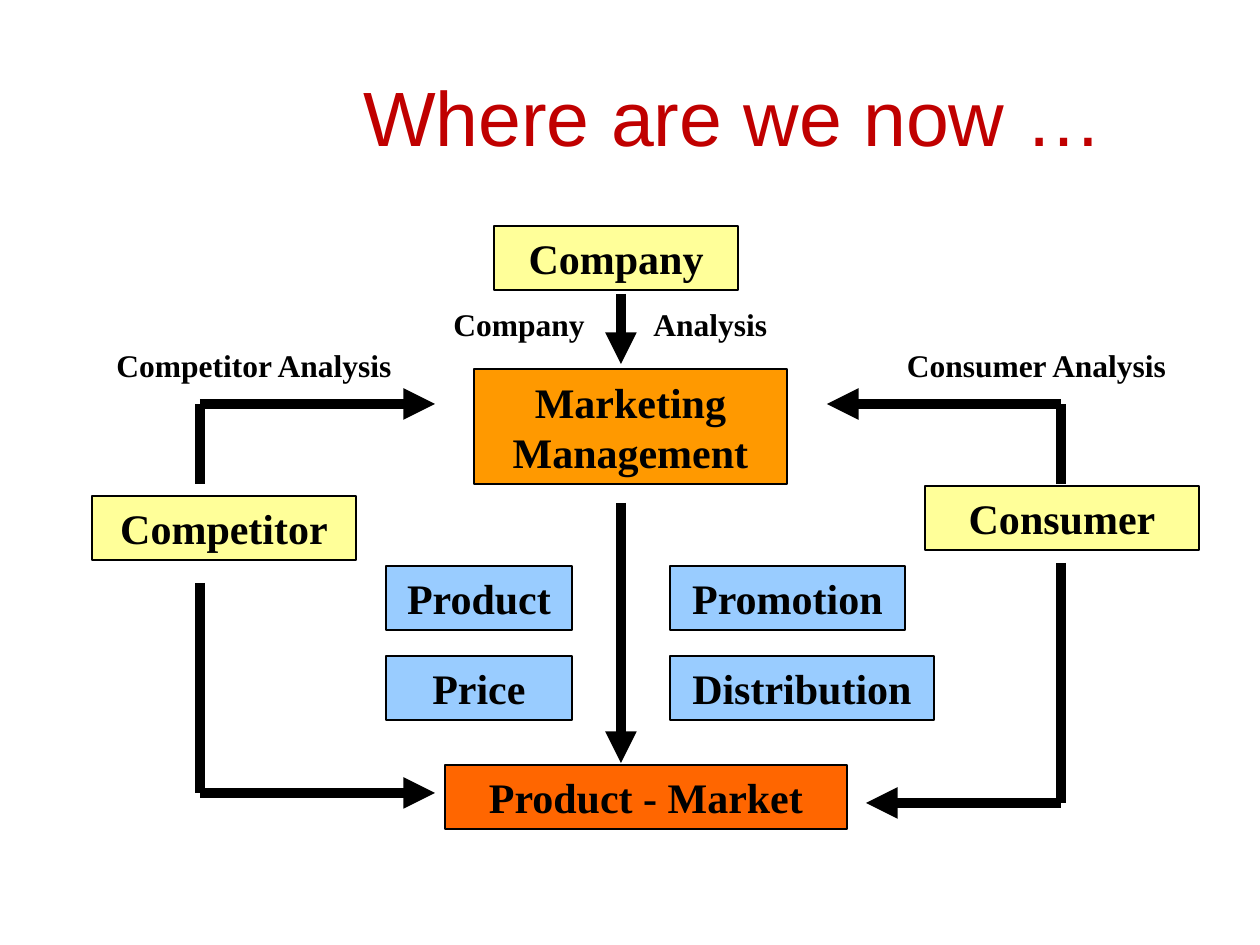
from pptx import Presentation
from pptx.dml.color import RGBColor
from pptx.enum.shapes import MSO_CONNECTOR as Connector, MSO_SHAPE as Shape
from pptx.enum.text import MSO_ANCHOR as Anchor, PP_ALIGN as Align
from pptx.oxml.ns import qn
from pptx.util import Emu, Pt
from lxml.etree import SubElement

EMU_PER_PX = 914400 / 126


def px(value):
    """Turn px into EMU."""
    return Emu(round(value * EMU_PER_PX))


def color(hex_string):
    """Turn a hex string into a colour."""
    return RGBColor.from_string(hex_string)


def write(shape, text, size=24, font="Times New Roman", ink="000000", bold=True,
          align=Align.CENTER, tab=None):
    """Write one formatted paragraph into a shape."""
    frame = shape.text_frame
    frame.word_wrap = True
    frame.vertical_anchor = Anchor.MIDDLE
    paragraph = frame.paragraphs[0]
    paragraph.alignment = align
    if tab:
        tabs = SubElement(paragraph._p.get_or_add_pPr(), qn("a:tabLst"))
        SubElement(tabs, qn("a:tab"), pos=str(px(tab)), algn="l")
    run = paragraph.add_run()
    run.text = text
    run.font.size = Pt(size)
    run.font.name = font
    run.font.bold = bold
    run.font.color.rgb = color(ink)


class Diagram:
    """Holds the line style and the slide being drawn."""

    ink = "000000"
    border = 1
    arrow_width = 6

    def __init__(self, slide):
        """Keep the current slide."""
        self.slide = slide

    def label(self, text, left, top, width, height=50, **style):
        """Add a text box."""
        box = self.slide.shapes.add_textbox(px(left), px(top), px(width), px(height))
        write(box, text, **style)

    def box(self, text, fill, left, top, width, height=64):
        """Add a bordered rectangle with centred text."""
        shape = self.slide.shapes.add_shape(
            Shape.RECTANGLE, px(left), px(top), px(width), px(height))
        shape.shadow.inherit = False
        shape.fill.solid()
        shape.fill.fore_color.rgb = color(fill)
        shape.line.color.rgb = color(self.ink)
        shape.line.width = Pt(self.border)
        write(shape, text)

    def line(self, start, end, head=False):
        """Add a thick straight line, with an arrowhead at its end if asked."""
        line = self.slide.shapes.add_connector(
            Connector.STRAIGHT, *map(px, start + end))
        line.line.color.rgb = color(self.ink)
        line.line.width = Pt(self.arrow_width)
        if head:
            SubElement(line.line._get_or_add_ln(), qn("a:tailEnd"), type="triangle")
        SubElement(line._element.spPr, qn("a:effectLst"))

    def arrow(self, *points):
        """Join points with lines and end in an arrowhead."""
        last = len(points) - 2
        for index, (start, end) in enumerate(zip(points, points[1:])):
            self.line(start, end, head=index == last)


def main():
    """Build and save the slide."""
    presentation = Presentation()
    presentation.slide_width, presentation.slide_height = px(1260), px(945)
    diagram = Diagram(presentation.slides.add_slide(presentation.slide_layouts[6]))

    diagram.label("Where are we now …", 207, 53, 1053, 126,
                  size=44, font="Arial", ink="C00000", bold=False)

    yellow, orange, red, blue = "FFFF99", "FF9900", "FF6600", "99CCFF"
    diagram.box("Marketing Management", orange, 474, 369, 313, 115)
    diagram.box("Company", yellow, 494, 226, 244)
    diagram.box("Competitor", yellow, 92, 496, 264)
    diagram.box("Consumer", yellow, 925, 486, 274)
    diagram.box("Product - Market", red, 445, 765, 402)

    mix = [[("Product", 186), ("Promotion", 235)],
           [("Price", 186), ("Distribution", 264)]]
    for row, items in enumerate(mix):
        for column, (name, width) in enumerate(items):
            diagram.box(name, blue, 386 + 284 * column, 566 + 90 * row, width)

    diagram.label("Company\tAnalysis", 441, 299, 340, size=18, align=Align.LEFT, tab=200)
    diagram.label("Competitor Analysis", 63, 340, 382, size=18)
    diagram.label("Consumer Analysis", 855, 340, 363, size=18)

    middle, left, right = 621, 200, 1061
    diagram.arrow((middle, 294), (middle, 364))
    diagram.arrow((middle, 503), (middle, 763))
    diagram.arrow((left, 484), (left, 404), (435, 404))
    diagram.arrow((left, 583), (left, 793), (435, 793))
    diagram.arrow((right, 484), (right, 404), (827, 404))
    diagram.arrow((right, 563), (right, 803), (866, 803))

    presentation.save("out.pptx")


if __name__ == "__main__":
    main()
